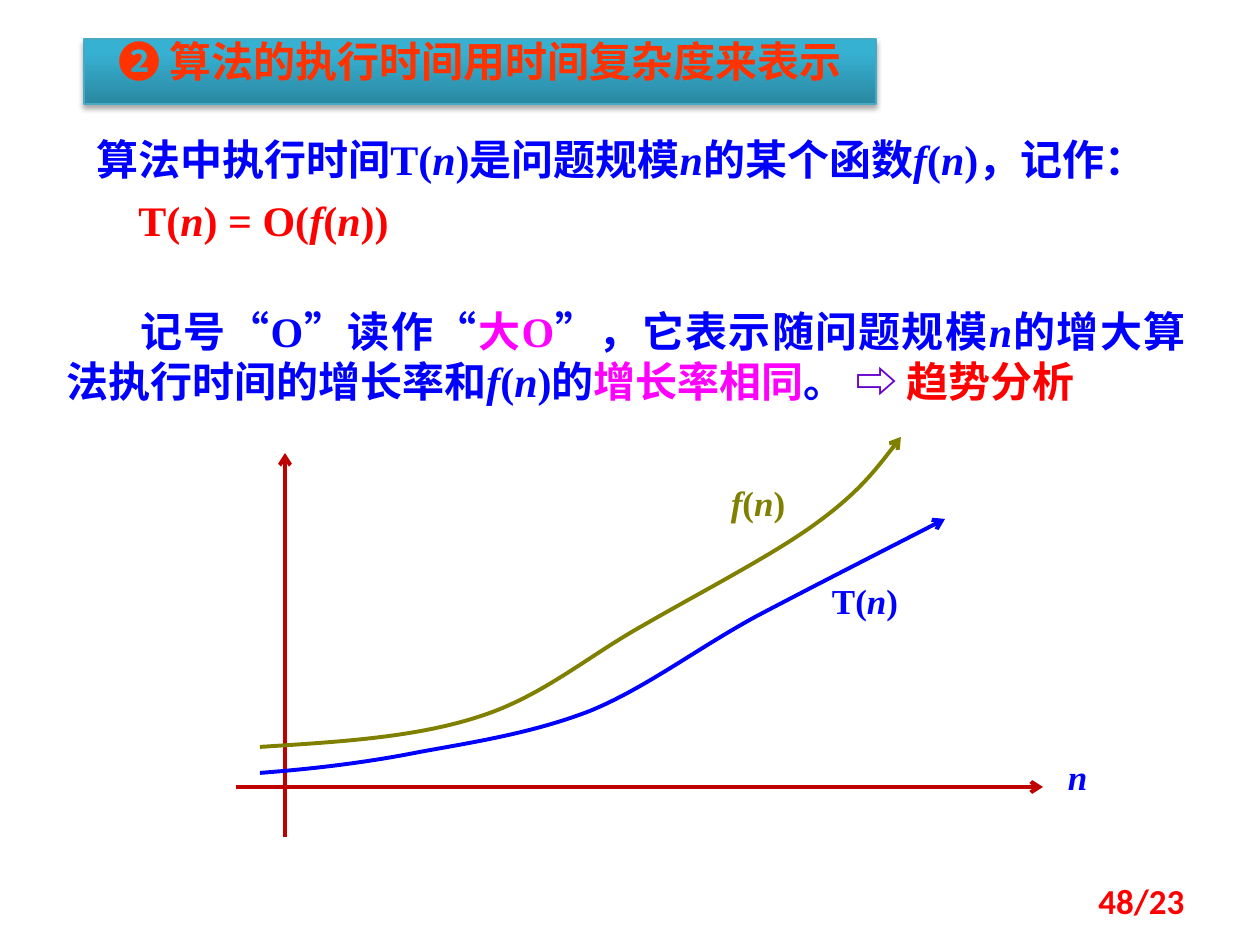
from dataclasses import dataclass

from lxml.etree import SubElement
from pptx import Presentation
from pptx.dml.color import RGBColor
from pptx.enum.shapes import MSO_CONNECTOR, MSO_SHAPE
from pptx.enum.text import MSO_ANCHOR, PP_ALIGN
from pptx.oxml.ns import qn
from pptx.util import Pt

EMU_PER_PX = 914400 / 126
BLUE, RED, MAGENTA = "0000FF", "FF0000", "FF00FF"
OLIVE, DARK_RED, PURPLE = "808000", "C00000", "6600CC"
SERIF, SANS = "Times New Roman", "Calibri"


@dataclass
class Span:
    text: str  # parts between asterisks are italic
    color: str = BLUE


@dataclass
class Label:
    box: tuple[int, int, int, int]
    span: Span


@dataclass
class Axis:
    start: tuple[int, int]
    end: tuple[int, int]


@dataclass
class Curve:
    points: list[tuple[int, int]]  # start, then two controls and an end per piece
    color: str


def px(length: int) -> int:
    return round(length * EMU_PER_PX)


def rgb(color: str) -> RGBColor:
    return RGBColor.from_string(color)


def write(frame, spans: list[Span], *, size: int = 24, font: str = SERIF,
          bold: bool = True, align=PP_ALIGN.JUSTIFY, spacing: float = 1.0,
          before: int = 12, indent: int = 0, first: bool = True) -> None:
    para = frame.paragraphs[0] if first else frame.add_paragraph()
    para.alignment, para.line_spacing = align, spacing
    para.space_before = Pt(before)
    if indent:
        para._p.get_or_add_pPr().set("indent", str(px(indent)))
    for span in spans:
        for index, text in enumerate(span.text.split("*")):
            if text:
                run = para.add_run()
                run.text = text
                run.font.name, run.font.size = font, Pt(size)
                run.font.bold, run.font.italic = bold, index % 2 == 1
                run.font.color.rgb = rgb(span.color)


def add_frame(page, box: tuple[int, int, int, int]):
    frame = page.shapes.add_textbox(*map(px, box)).text_frame
    frame.word_wrap = True
    return frame


def style_arrow(shape, color: str) -> None:
    shape.line.color.rgb = rgb(color)
    shape.line.width = Pt(2.25)
    SubElement(shape.line._get_or_add_ln(), qn("a:tailEnd"), type="arrow")
    SubElement(shape._element.spPr, qn("a:effectLst"))


def add_axis(page, axis: Axis) -> None:
    ends = map(px, axis.start + axis.end)
    style_arrow(page.shapes.add_connector(MSO_CONNECTOR.STRAIGHT, *ends), DARK_RED)


def add_curve(page, curve: Curve) -> None:
    builder = page.shapes.build_freeform(*curve.points[0], scale=EMU_PER_PX)
    builder.add_line_segments(curve.points[1:], close=False)
    shape = builder.convert_to_shape()
    shape.fill.background()
    # Turn every three straight segments into one Bezier piece
    outline = next(shape._element.iter(qn("a:path")))
    segments = outline.findall(qn("a:lnTo"))
    for start in range(0, len(segments), 3):
        piece = SubElement(outline, qn("a:cubicBezTo"))
        for segment in segments[start:start + 3]:
            piece.append(segment[0])
            outline.remove(segment)
    style_arrow(shape, curve.color)


def add_banner(page, box: tuple[int, int, int, int], text: str) -> None:
    banner = page.shapes.add_shape(MSO_SHAPE.RECTANGLE, *map(px, box))
    banner.fill.gradient()
    banner.fill.gradient_angle = 90
    stops = banner.fill.gradient_stops
    for stop, color, position in zip(stops, ("2A88A2", "37B1D2"), (0, 0.8)):
        stop.color.rgb, stop.position = rgb(color), position
    banner.line.color.rgb, banner.line.width = rgb("46AAC5"), Pt(0.75)
    banner.shadow.inherit = False
    effects = banner._element.spPr.find(qn("a:effectLst"))
    shadow = SubElement(effects, qn("a:outerShdw"), blurRad=str(Pt(3.1)),
                        dist=str(Pt(1.8)), dir="5400000", rotWithShape="0")
    black = SubElement(shadow, qn("a:srgbClr"), val="000000")
    SubElement(black, qn("a:alpha"), val="35000")
    frame = banner.text_frame
    frame.word_wrap, frame.vertical_anchor = True, MSO_ANCHOR.TOP
    write(frame, [Span(text, "FF3300")], font=SANS, align=PP_ALIGN.CENTER, spacing=0.8)


AXES = [Axis((236, 787), (1043, 787)), Axis((285, 837), (285, 453))]
CURVES = [
    Curve([(260, 747), (336, 742), (413, 738), (478, 717), (542, 697), (588, 656),
           (644, 625), (701, 592), (771, 556), (814, 525), (857, 494), (879, 466),
           (901, 437)], OLIVE),
    Curve([(260, 773), (312, 769), (365, 763), (420, 752), (475, 742), (533, 733),
           (590, 711), (646, 688), (698, 648), (757, 616), (816, 585), (881, 552),
           (945, 519)], BLUE),
]
LABELS = [
    Label((816, 581, 98, 59), Span("T(*n*)")),
    Label((1043, 757, 69, 59), Span("*n*")),
    Label((709, 483, 98, 55), Span("*f*(*n*)", OLIVE)),
]


def main() -> None:
    deck = Presentation()
    deck.slide_width, deck.slide_height = px(1260), px(945)
    page = deck.slides.add_slide(deck.slide_layouts[6])

    # Heading and definition
    add_banner(page, (84, 39, 792, 65), "❷ 算法的执行时间用时间复杂度来表示")
    definition = add_frame(page, (84, 137, 1081, 150))
    write(definition, [Span("算法中执行时间T(*n*)是问题规模*n*的某个函数*f*(*n*)，记作：")],
          spacing=0.8)
    write(definition, [Span("T(*n*) = O(*f*(*n*))", RED)],
          spacing=0.8, indent=42, first=False)

    # Meaning of the notation
    write(add_frame(page, (54, 299, 1144, 115)), [
        Span("记号“O”读作“"), Span("大O", MAGENTA),
        Span("”，它表示随问题规模*n*的增大算法执行时间的增长率和*f*(*n*)的"),
        Span("增长率相同", MAGENTA), Span("。 "), Span("⇨ ", PURPLE),
        Span("趋势分析", RED)], indent=74)

    # Growth chart
    for axis in AXES:
        add_axis(page, axis)
    for curve in CURVES:
        add_curve(page, curve)
    for label in LABELS:
        write(add_frame(page, label.box), [label.span], size=20,
              align=PP_ALIGN.CENTER, spacing=0.8, before=10)

    # Page number
    footer = add_frame(page, (903, 876, 294, 50))
    footer.vertical_anchor = MSO_ANCHOR.MIDDLE
    write(footer, [Span("48/23", RED)], size=20, font=SANS,
          align=PP_ALIGN.RIGHT, before=0)

    deck.save("out.pptx")


if __name__ == "__main__":
    main()
